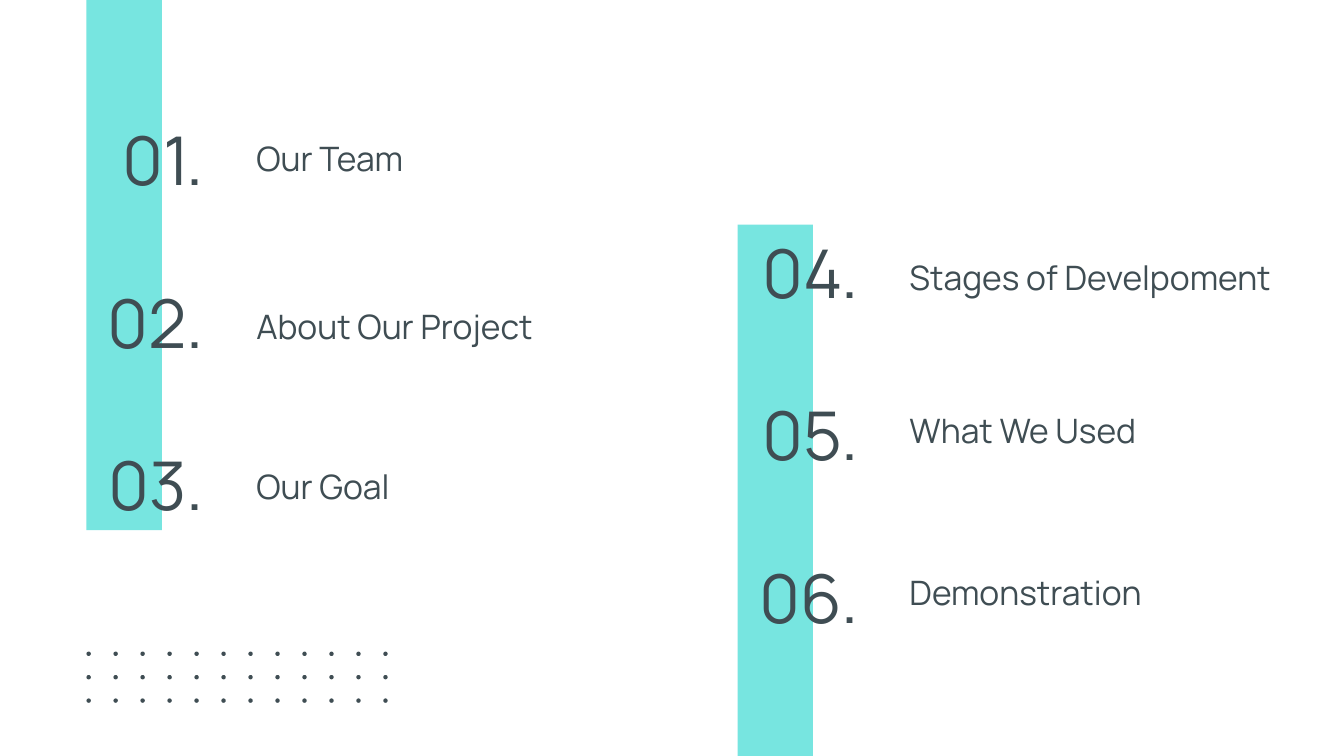
from pptx import Presentation
from pptx.dml.color import RGBColor
from pptx.enum.shapes import MSO_SHAPE
from pptx.enum.text import MSO_ANCHOR, MSO_AUTO_SIZE, PP_ALIGN
from pptx.util import Cm, Pt

RECTANGLE, OVAL = MSO_SHAPE.RECTANGLE, MSO_SHAPE.OVAL
MIDDLE, BOTTOM = MSO_ANCHOR.MIDDLE, MSO_ANCHOR.BOTTOM
LEFT, RIGHT = PP_ALIGN.LEFT, PP_ALIGN.RIGHT
NO_AUTOFIT = MSO_AUTO_SIZE.NONE

COLORS = {"bar": "77E5E0", "ink": "3F4D53"}
FONT = "Manrope"
TITLE_ONLY_LAYOUT = 5
NUMBER_STEP = 4.09

COLUMNS = [
    {
        "bar": (2.18, 0, 1.9, 13.36),
        "number_left": 0.58,
        "number_top": 3,
        "heading_left": 6.12,
        "headings": [("Our Team", 3.3), ("About Our Project", 7.54), ("Our Goal", 11.58)],
    },
    {
        "bar": (18.59, 5.66, 1.9, 13.74),
        "number_left": 17.09,
        "number_top": 5.84,
        "heading_left": 22.58,
        "headings": [("Stages of Develpoment", 6.32), ("What We Used", 10.16),
                     ("Demonstration", 14.25)],
    },
]


class AgendaSlide:
    def __init__(self, presentation):
        layout = presentation.slide_layouts[TITLE_ONLY_LAYOUT]
        self.slide = presentation.slides.add_slide(layout)
        self.title_used = False

    def fill(self, shape, color):
        shape.shadow.inherit = False
        shape.fill.solid()
        shape.fill.fore_color.rgb = RGBColor.from_string(COLORS[color])
        shape.line.fill.background()

    def bar(self, box):
        shape = self.slide.shapes.add_shape(RECTANGLE, *map(Cm, box))
        self.fill(shape, "bar")

    def set_text(self, shape, text, size, alignment, anchor):
        frame = shape.text_frame
        frame.word_wrap = True
        frame.auto_size = NO_AUTOFIT
        frame.vertical_anchor = anchor
        frame.margin_left = frame.margin_right = Cm(0.34)
        frame.margin_top = frame.margin_bottom = Cm(0.34)
        paragraph = frame.paragraphs[0]
        paragraph.alignment = alignment
        run = paragraph.add_run()
        run.text = text
        run.font.name = FONT
        run.font.size = Pt(size)
        run.font.color.rgb = RGBColor.from_string(COLORS["ink"])

    def number(self, value, left, top):
        shape = self.slide.shapes.add_textbox(Cm(left), Cm(top), Cm(4.9), Cm(2.01))
        self.set_text(shape, f"{value:02}.", 48, RIGHT, MIDDLE)

    def heading(self, text, left, top):
        """Put the first heading in the title placeholder, the others in text boxes."""
        box = Cm(left), Cm(top), Cm(10.39), Cm(1.52)
        if self.title_used:
            shape = self.slide.shapes.add_textbox(*box)
        else:
            shape = self.slide.shapes.title
            shape.left, shape.top, shape.width, shape.height = box
            self.title_used = True
        self.set_text(shape, text, 24, LEFT, BOTTOM)

    def dot_grid(self, left, top, columns, rows):
        group = self.slide.shapes.add_group_shape()
        for row in range(rows):
            for column in range(columns):
                dot = group.shapes.add_shape(
                    OVAL, Cm(left + 0.68 * column), Cm(top + 0.59 * row), Cm(0.11), Cm(0.11))
                self.fill(dot, "ink")


def main():
    presentation = Presentation()
    presentation.slide_width, presentation.slide_height = Cm(33.87), Cm(19.05)
    agenda = AgendaSlide(presentation)
    value = 1
    for column in COLUMNS:
        agenda.bar(column["bar"])
        for index, (text, top) in enumerate(column["headings"]):
            agenda.number(value, column["number_left"],
                          column["number_top"] + NUMBER_STEP * index)
            agenda.heading(text, column["heading_left"], top)
            value += 1
    agenda.dot_grid(2.18, 16.42, columns=12, rows=3)
    presentation.save("out.pptx")


if __name__ == "__main__":
    main()
